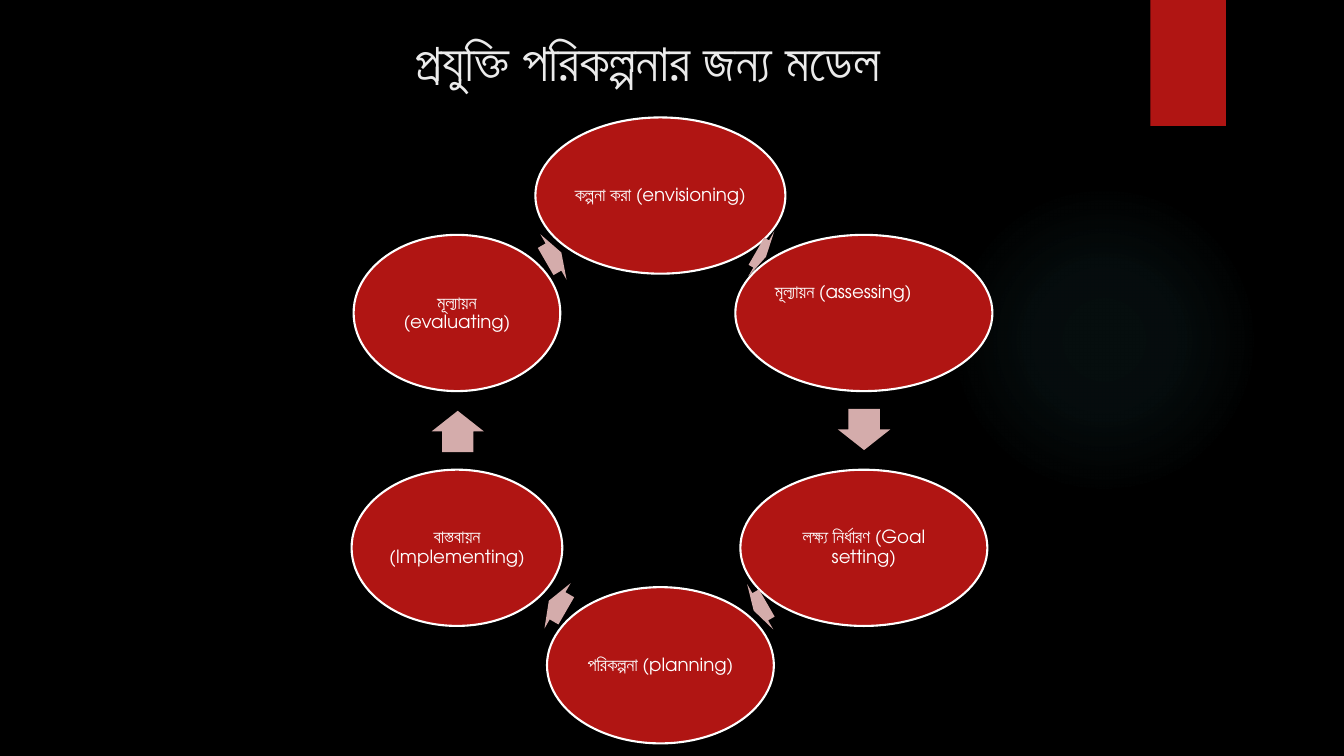
from math import cos, radians, sin

from pptx import Presentation
from pptx.dml.color import RGBColor
from pptx.enum.shapes import MSO_SHAPE
from pptx.enum.text import MSO_ANCHOR, PP_ALIGN
from pptx.oxml import parse_xml
from pptx.oxml.ns import nsdecls
from pptx.util import Inches, Pt

OVAL, RECT, ARROW = MSO_SHAPE.OVAL, MSO_SHAPE.RECTANGLE, MSO_SHAPE.RIGHT_ARROW
LEFT, CENTER, MIDDLE = PP_ALIGN.LEFT, PP_ALIGN.CENTER, MSO_ANCHOR.MIDDLE

BLACK = RGBColor(0x00, 0x00, 0x00)
WHITE = RGBColor(0xFF, 0xFF, 0xFF)
PALE = RGBColor(0xEB, 0xEB, 0xEB)
RED = RGBColor(0xB0, 0x15, 0x13)
PINK = RGBColor(0xD4, 0xAC, 0xAB)
TEAL = RGBColor(0x50, 0xB9, 0xC1)

HUB_X, HUB_Y, RADIUS = 6.55, 4.27, 2.33
STEP = 60
OVAL_H, ARROW_H = 1.55, 0.52
PAD = 0.02

# label, oval width, alignment, bottom inset
STAGES = [
    ("কল্পনা করা (envisioning)", 2.48, CENTER, PAD),
    ("মূল্যায়ন (assessing)", 2.55, LEFT, 0.42),
    ("লক্ষ্য নির্ধারণ (Goal setting)", 2.45, CENTER, PAD),
    ("পরিকল্পনা (planning)", 2.25, CENTER, PAD),
    ("বাস্তবায়ন (Implementing)", 2.09, CENTER, PAD),
    ("মূল্যায়ন (evaluating)", 2.05, CENTER, PAD),
]
# centre x, centre y, length
ARROWS = [
    (7.55, 2.52, 0.11),
    (8.57, 4.26, 0.41),
    (7.54, 6.02, 0.15),
    (5.53, 6.01, 0.2),
    (4.54, 4.28, 0.41),
    (5.49, 2.55, 0.18),
]


class Deck:
    def __init__(self, slide, face="TeX Gyre Adventor", size=13):
        self.slide, self.face, self.size = slide, face, size

    def shape(self, kind, x, y, w, h, fill=None):
        """Add a preset shape without outline, placed by its top left corner."""
        shape = self.slide.shapes.add_shape(
            kind, Inches(x), Inches(y), Inches(w), Inches(h))
        shape.shadow.inherit = False
        shape.line.fill.background()
        if fill is None:
            shape.fill.background()
        else:
            shape.fill.solid()
            shape.fill.fore_color.rgb = fill
        return shape

    def glow(self, x, y, size):
        """Add a faint disc that fades out towards its rim."""
        disc = self.shape(OVAL, x, y, size, size)
        stops = "".join(
            f'<a:gs pos="{pos}000"><a:srgbClr val="{TEAL}">'
            f'<a:alpha val="{alpha}000"/></a:srgbClr></a:gs>'
            for pos, alpha in ((0, 7), (36, 6), (69, 0)))
        grad = parse_xml(
            f'<a:gradFill {nsdecls("a")} rotWithShape="1"><a:gsLst>{stops}</a:gsLst>'
            '<a:path path="circle"><a:fillToRect l="50000" t="50000" r="50000"'
            ' b="50000"/></a:path></a:gradFill>')
        props = disc._element.spPr
        props.replace(props.find("{*}noFill"), grad)

    def title(self, text, x, y, w, h):
        box = self.slide.shapes.add_textbox(
            Inches(x), Inches(y), Inches(w), Inches(h))
        box.text_frame.word_wrap = True
        box.text_frame.vertical_anchor = MIDDLE
        self.label(box.text_frame, text, CENTER, PALE, 37.8, "Arial")

    def label(self, frame, text, align, color, size, face):
        para = frame.paragraphs[0]
        para.text = text
        para.alignment = align
        para.font.size = Pt(size)
        para.font.name = face
        para.font.color.rgb = color
        return para

    def stage(self, text, x, y, w, align, bottom):
        """Add a labelled oval around the centre x, y."""
        oval = self.shape(OVAL, x - w / 2, y - OVAL_H / 2, w, OVAL_H, RED)
        oval.line.color.rgb = WHITE
        oval.line.width = Pt(1.5)
        frame = oval.text_frame
        frame.word_wrap = True
        frame.vertical_anchor = MIDDLE
        frame.margin_left = frame.margin_right = frame.margin_top = Inches(PAD)
        frame.margin_bottom = Inches(bottom)
        para = self.label(frame, text, align, WHITE, self.size, self.face)
        para.line_spacing = 0.9

    def arrow(self, x, y, w, angle):
        """Add a block arrow around the centre x, y."""
        arrow = self.shape(ARROW, x - w / 2, y - ARROW_H / 2, w, ARROW_H, PINK)
        arrow.adjustments[0] = 0.6
        arrow.adjustments[1] = 0.5
        arrow.rotation = angle


def main():
    prs = Presentation()
    prs.slide_width, prs.slide_height = Inches(13.33), Inches(7.5)
    slide = prs.slides.add_slide(prs.slide_layouts[6])
    slide.background.fill.solid()
    slide.background.fill.fore_color.rgb = BLACK

    deck = Deck(slide)
    deck.glow(9.41, 1.83, 3.08)
    deck.shape(RECT, 11.41, 0, 0.75, 1.25, RED)
    deck.title("প্রযুক্তি পরিকল্পনার জন্য মডেল", 0, 0.22, 12.85, 0.76)

    for i, (stage, arrow) in enumerate(zip(STAGES, ARROWS)):
        text, width, align, bottom = stage
        turn = radians(i * STEP - 90)
        x, y = HUB_X + RADIUS * cos(turn), HUB_Y + RADIUS * sin(turn)
        deck.stage(text, x, y, width, align, bottom)
        deck.arrow(*arrow, i * STEP + STEP / 2)

    prs.save("out.pptx")


if __name__ == "__main__":
    main()
